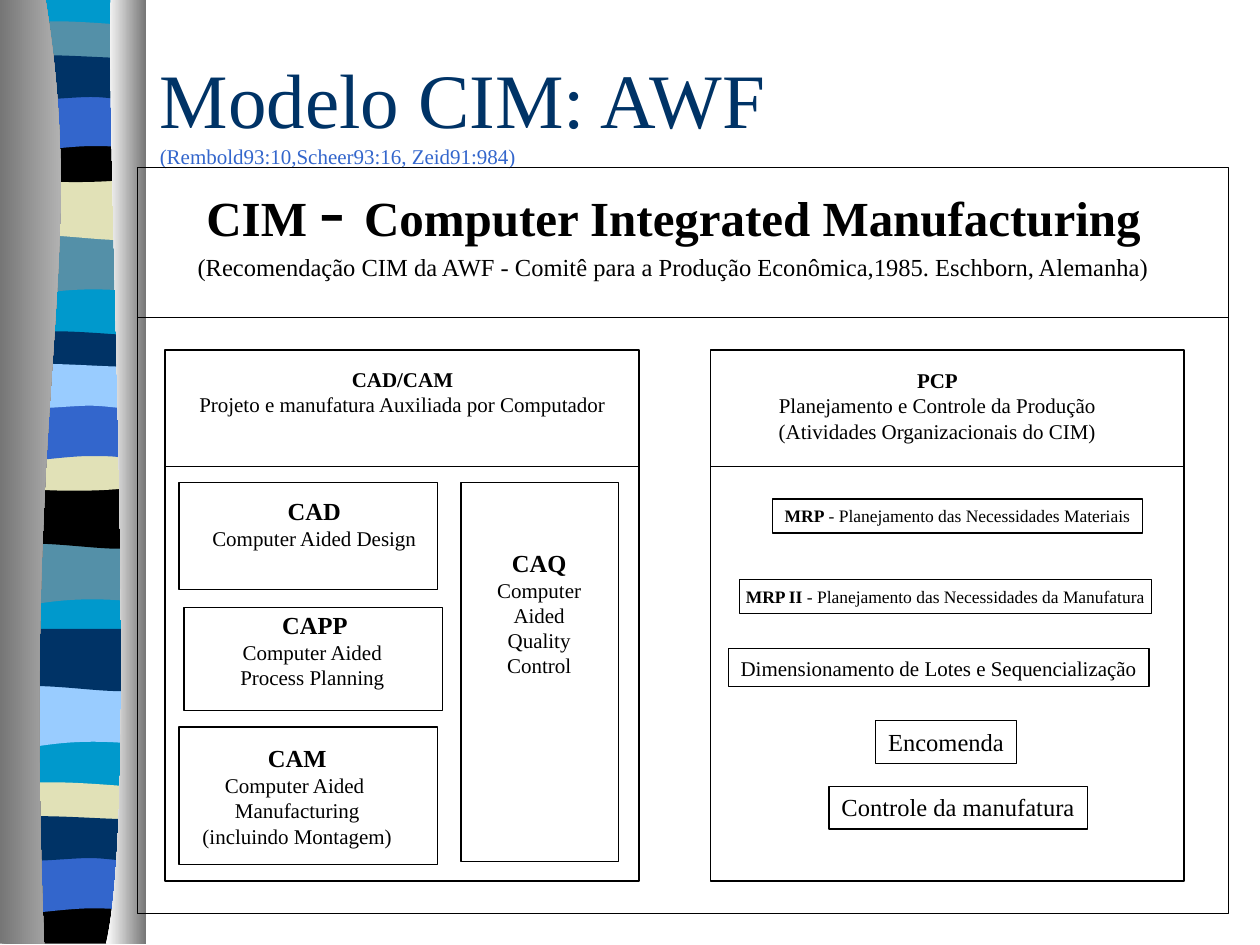
from dataclasses import dataclass

from lxml import etree
from pptx import Presentation
from pptx.dml.color import RGBColor
from pptx.enum.shapes import MSO_CONNECTOR, MSO_SHAPE
from pptx.enum.text import MSO_ANCHOR, MSO_AUTO_SIZE, PP_ALIGN
from pptx.oxml.ns import qn
from pptx.util import Inches, Pt

RECTANGLE = MSO_SHAPE.RECTANGLE
STRAIGHT = MSO_CONNECTOR.STRAIGHT
CENTER = PP_ALIGN.CENTER
LEFT = PP_ALIGN.LEFT
MIDDLE = MSO_ANCHOR.MIDDLE
TOP = MSO_ANCHOR.TOP
NO_RESIZE = MSO_AUTO_SIZE.NONE


@dataclass(frozen=True)
class Theme:
    font: str = "Times New Roman"
    black: str = "000000"
    navy: str = "003366"
    blue: str = "3366CC"
    cyan: str = "0099CC"
    sky: str = "99CCFF"
    steel: str = "5490A8"
    sand: str = "E1E1B7"
    shade: str = "767676"
    silver: str = "D0D0D0"
    light: str = "FFFFFF"
    title: int = 44
    heading: int = 28
    label: int = 14
    body: int = 12
    small: int = 10
    thin: float = 0.75
    thick: float = 1


THEME = Theme()
RIBBON_WIDTH = 1.08

STRIPE_PATHS = {
    "fall": [(1.08, 0), (1.08, 0.47), (0.33, 0.39, 0.18, 0.55, 0, 0.47), (0, 0)],
    "swell": [(1.08, 0), (1.08, 0.47), (0.9, 0.55, 0.33, 0.41, 0, 0.47), (0, 0)],
    "crest": [(1.08, 0), (1.08, 0.24), (0.9, 0.28, 0.18, 0.28, 0, 0.24), (0, 0),
              (0.06, -0.05, 0.23, -0.04, 0.41, -0.04), (0.59, -0.04, 0.94, -0.01, 1.08, 0)],
    "sag": [(1.08, 0), (1.08, 0.32), (0.9, 0.38, 0.18, 0.38, 0, 0.32), (0, 0),
            (0.66, 0.05, 0.85, 0, 1.08, 0)],
    "arch": [(1.08, 0), (1.08, 0.47), (0.91, 0.42, 0.84, 0.42, 0.66, 0.42),
             (0.48, 0.42, 0.16, 0.47, 0, 0.47), (0, 0)],
    "rise": [(1.08, 0), (1.08, 0.31), (1.01, 0.36, 0.84, 0.31, 0.66, 0.31),
             (0.48, 0.31, 0.11, 0.36, 0, 0.31), (0, 0),
             (0.15, -0.05, 0.73, 0, 0.91, 0), (1.09, 0, 1.04, 0, 1.08, 0)],
    "foot": [(1.08, 0), (1.08, 0.37), (0, 0.37), (0, 0), (0.66, 0.05, 0.85, 0, 1.08, 0)],
}

STRIPES = [
    (0.06, 1.85, "fall", THEME.steel), (0.06, 1.41, "swell", THEME.sand),
    (0.06, 0.21, "crest", THEME.steel), (0.06, 1.08, "sag", THEME.black),
    (0.06, 0.74, "arch", THEME.blue), (0.06, 0.46, "rise", THEME.navy),
    (0.05, 4.31, "fall", THEME.steel), (0.05, 3.86, "swell", THEME.black),
    (0.05, 2.67, "crest", THEME.navy), (0.05, 3.53, "sag", THEME.sand),
    (0.05, 3.2, "arch", THEME.blue), (0.05, 2.91, "rise", THEME.sky),
    (0.06, 5.44, "fall", THEME.sky), (0.06, 4.99, "swell", THEME.navy),
    (0.05, 6.25, "crest", THEME.sand), (0.05, 7.12, "foot", THEME.black),
    (0.05, 6.79, "arch", THEME.blue), (0.05, 6.5, "rise", THEME.navy),
]


def color(value):
    return RGBColor.from_string(value)


def add_outline(slide, steps, left=0, top=0):
    steps = [list(zip(step[::2], step[1::2])) for step in steps]
    steps = [[(left + x, top + y) for x, y in step] for step in steps]
    xs, ys = zip(*(point for step in steps for point in step))
    west, east, north, south = map(Inches, (min(xs), max(xs), min(ys), max(ys)))
    builder = slide.shapes.build_freeform(west, north)
    builder.add_line_segments([(east, north), (east, south), (west, south)])
    shape = builder.convert_to_shape()
    outline = shape.element.spPr.find(".//" + qn("a:path"))
    for child in list(outline):
        outline.remove(child)
    for index, step in enumerate(steps):
        tag = "a:cubicBezTo" if len(step) == 3 else "a:lnTo" if index else "a:moveTo"
        command = etree.SubElement(outline, qn(tag))
        for x, y in step:
            etree.SubElement(command, qn("a:pt"),
                             x=str(Inches(x) - west), y=str(Inches(y) - north))
    etree.SubElement(outline, qn("a:close"))
    shape.shadow.inherit = False
    shape.line.fill.background()
    return shape


def add_stripe(slide, left, top, steps, fill):
    shape = add_outline(slide, steps, left, top)
    shape.fill.solid()
    shape.fill.fore_color.rgb = color(fill)


def add_curtain(slide, steps, first, last):
    shape = add_outline(slide, steps)
    shape.fill.gradient()
    shape.fill.gradient_angle = 0
    for stop, value in zip(shape.fill.gradient_stops, (first, last)):
        stop.color.rgb = color(value)


def add_ribbon(slide):
    base = [(RIBBON_WIDTH, 0), (RIBBON_WIDTH, 7.48), (0, 7.48), (0, 0)]
    add_stripe(slide, 0.06, -0.01, base, THEME.cyan)
    for left, top, kind, fill in STRIPES:
        add_stripe(slide, left, top, STRIPE_PATHS[kind], fill)
    add_curtain(slide, [(0.36, -0.01), (0.71, 2.16, 0.17, 2.96, 0.35, 7.49),
                        (0, 7.49), (0, -0.01)], THEME.shade, THEME.silver)
    add_curtain(slide, [(0.88, -0.01), (0.84, 1.25, 1.11, 6.46, 0.84, 7.49),
                        (1.16, 7.49), (1.16, -0.01)], THEME.light, THEME.shade)


def add_frame(slide, left, top, width, height, weight=THEME.thin):
    shape = slide.shapes.add_shape(
        RECTANGLE, Inches(left), Inches(top), Inches(width), Inches(height))
    shape.shadow.inherit = False
    shape.fill.background()
    shape.line.color.rgb = color(THEME.black)
    shape.line.width = Pt(weight)
    return shape


def add_divider(slide, left, right, y):
    connector = slide.shapes.add_connector(
        STRAIGHT, Inches(left), Inches(y), Inches(right), Inches(y))
    connector.line.color.rgb = color(THEME.black)
    connector.line.width = Pt(THEME.thin)
    etree.SubElement(connector.element.spPr, qn("a:effectLst"))


def add_run(paragraph, text, size, bold=False, value=THEME.black):
    run = paragraph.add_run()
    run.text = text
    run.font.name = THEME.font
    run.font.size = Pt(size)
    run.font.bold = bold
    run.font.color.rgb = color(value)


def write(shape, paragraphs, align, inset=0.1):
    frame = shape.text_frame
    frame.word_wrap = False
    frame.auto_size = NO_RESIZE
    frame.vertical_anchor = TOP
    frame.margin_left = frame.margin_right = Inches(inset)
    for index, runs in enumerate(paragraphs):
        paragraph = frame.add_paragraph() if index else frame.paragraphs[0]
        paragraph.alignment = align
        for run in runs:
            add_run(paragraph, *run)


def add_text(slide, left, top, width, height, paragraphs):
    box = slide.shapes.add_textbox(
        Inches(left), Inches(top), Inches(width), Inches(height))
    write(box, paragraphs, CENTER)


def add_caption(slide, left, top, width, height, name, lines, size=THEME.label):
    paragraphs = [[(name, size, True)]] + [[(line, THEME.body)] for line in lines]
    add_text(slide, left, top, width, height, paragraphs)


def add_title(slide):
    box = slide.shapes.add_textbox(Inches(1.17), Inches(0.25), Inches(8.5), Inches(1.25))
    box.text_frame.word_wrap = True
    box.text_frame.vertical_anchor = MIDDLE
    paragraph = box.text_frame.paragraphs[0]
    add_run(paragraph, "Modelo CIM: AWF ", THEME.title, False, THEME.navy)
    paragraph.add_line_break()
    add_run(paragraph, "(Rembold93:10,Scheer93:16, Zeid91:984)", THEME.body, False, THEME.blue)


def add_model(slide):
    add_frame(slide, 1.09, 1.33, 8.66, 5.92)
    add_divider(slide, 1.09, 9.75, 2.52)
    add_text(slide, 1.45, 1.22, 7.79, 1.07, [
        [("CIM ", THEME.heading, True), ("- ", THEME.title),
         ("Computer Integrated Manufacturing", THEME.heading, True)],
        [("(Recomendação CIM da AWF - Comitê para a Produção Econômica,1985. "
          "Eschborn, Alemanha)", THEME.label)],
    ])
    for left in (1.31, 5.64):
        add_frame(slide, left, 2.78, 3.76, 4.21, THEME.thick)
        add_divider(slide, left, left + 3.76, 3.7)
    add_caption(slide, 1.48, 2.86, 3.43, 0.5, "CAD/CAM",
                ["Projeto e manufatura Auxiliada por Computador"], THEME.body)
    add_caption(slide, 6.08, 2.87, 2.72, 0.7, "PCP",
                ["Planejamento e Controle da Produção",
                 "(Atividades Organizacionais do CIM)"], THEME.body)


def add_techniques(slide):
    for frame in ((1.42, 3.83, 2.05, 0.85), (1.46, 4.82, 2.05, 0.82),
                  (1.42, 5.77, 2.05, 1.09), (3.66, 3.83, 1.25, 3.01)):
        add_frame(slide, *frame)
    add_caption(slide, 1.58, 3.89, 1.83, 0.54, "CAD", ["Computer Aided Design"])
    add_caption(slide, 1.81, 4.79, 1.38, 0.74, "CAPP", ["Computer Aided ", "Process Planning "])
    add_caption(slide, 1.51, 5.85, 1.7, 0.94, "CAM",
                ["Computer Aided ", "Manufacturing", "(incluindo Montagem)"])
    add_caption(slide, 3.85, 4.3, 0.86, 1.14, "CAQ",
                ["Computer", "Aided", "Quality", "Control"])


def add_planning(slide):
    steps = [
        (6.13, 3.96, 2.94, 0.27, 0.1, [("MRP", THEME.small, True),
         (" - Planejamento das Necessidades Materiais", THEME.small)]),
        (5.87, 4.6, 3.27, 0.27, 0.05, [("MRP II", THEME.small, True),
         (" - Planejamento das Necessidades da Manufatura", THEME.small)]),
        (5.78, 5.15, 3.34, 0.3, 0.1,
         [("Dimensionamento de Lotes e Sequencialização", THEME.body)]),
        (6.95, 5.72, 1.12, 0.34, 0.1, [("Encomenda", THEME.label)]),
        (6.58, 6.24, 2.05, 0.34, 0.1, [("Controle da manufatura", THEME.label)]),
    ]
    for left, top, width, height, inset, runs in steps:
        write(add_frame(slide, left, top, width, height), [runs], LEFT, inset)


def main():
    presentation = Presentation()
    presentation.slide_width = Inches(10)
    presentation.slide_height = Inches(7.5)
    slide = presentation.slides.add_slide(presentation.slide_layouts[6])
    add_ribbon(slide)
    add_title(slide)
    add_model(slide)
    add_techniques(slide)
    add_planning(slide)
    presentation.save("out.pptx")


if __name__ == "__main__":
    main()
